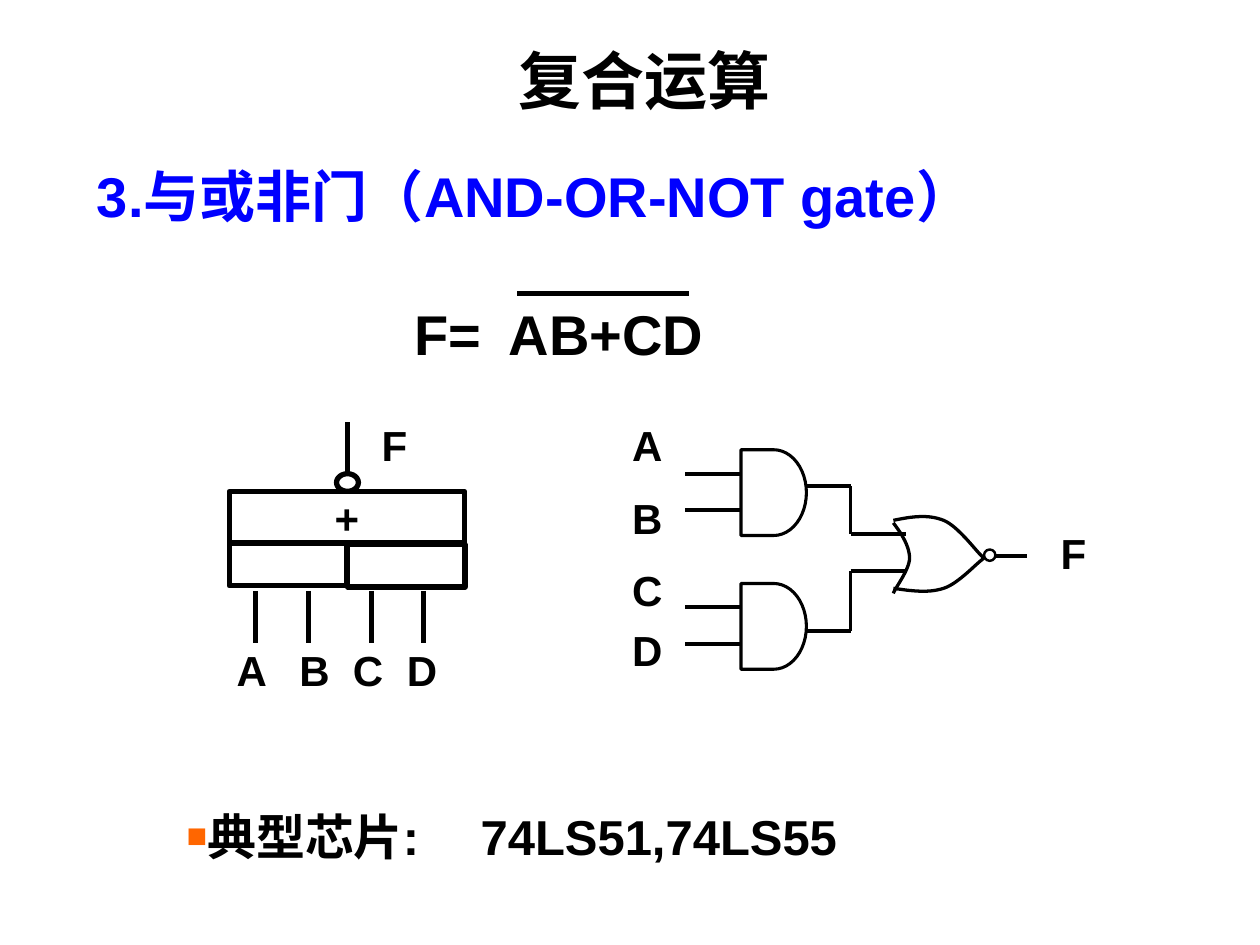
from lxml.etree import SubElement
from pptx import Presentation
from pptx.dml.color import RGBColor
from pptx.enum.shapes import MSO_CONNECTOR, MSO_SHAPE
from pptx.enum.text import MSO_ANCHOR, MSO_AUTO_SIZE, PP_ALIGN
from pptx.oxml.ns import qn
from pptx.util import Pt

BLACK = RGBColor(0, 0, 0)
BLUE = RGBColor(0, 0, 255)
ORANGE = RGBColor(255, 102, 0)

WIRE = 2.25
THICK = 3


def format_text(frame, text, size, color=BLACK, align=PP_ALIGN.LEFT):
    frame.text = text
    paragraph = frame.paragraphs[0]
    paragraph.alignment = align
    paragraph.space_before = Pt(0)
    font_values = {"name": "Arial", "size": Pt(size), "bold": True}
    for name, value in font_values.items():
        setattr(paragraph.runs[0].font, name, value)
    paragraph.runs[0].font.color.rgb = color
    return paragraph


def fill_placeholder(placeholder, box, text, size, **text_format):
    for name, value in zip(("left", "top", "width", "height"), box):
        setattr(placeholder, name, Pt(value))
    frame_values = {"auto_size": MSO_AUTO_SIZE.NONE, "word_wrap": True,
                    "vertical_anchor": MSO_ANCHOR.TOP}
    for name, value in frame_values.items():
        setattr(placeholder.text_frame, name, value)
    return format_text(placeholder.text_frame, text, size, **text_format)


def set_bullet(paragraph, character=None, color=None, percent=100, tab=None):
    """Remove the indent, then set a bullet and a tab stop, or no bullet."""
    properties = paragraph._p.get_or_add_pPr()
    properties.set("marL", "0")
    properties.set("indent", "0")
    if character is None:
        SubElement(properties, qn("a:buNone"))
        return
    bullet_color = SubElement(properties, qn("a:buClr"))
    SubElement(bullet_color, qn("a:srgbClr"), val=str(color))
    SubElement(properties, qn("a:buSzPct"), val=str(percent * 1000))
    SubElement(properties, qn("a:buFont"), typeface="Arial")
    SubElement(properties, qn("a:buChar"), char=character)
    tab_stops = SubElement(properties, qn("a:tabLst"))
    SubElement(tab_stops, qn("a:tab"), pos=str(Pt(tab)), algn="l")


def add_label(slide, left, top, text, size=24, width=50, height=36):
    box = slide.shapes.add_textbox(Pt(left), Pt(top), Pt(width), Pt(height))
    box.text_frame.word_wrap = True
    format_text(box.text_frame, text, size)


def add_outline(slide, kind, left, top, width, height, weight):
    shape = slide.shapes.add_shape(kind, Pt(left), Pt(top), Pt(width), Pt(height))
    style_outline(shape, weight)
    return shape


def style_outline(shape, weight):
    shape.shadow.inherit = False
    shape.fill.background()
    shape.line.color.rgb = BLACK
    shape.line.width = Pt(weight)


def add_wires(slide, weight, *points):
    """Join consecutive points with straight lines."""
    for start, end in zip(points, points[1:]):
        wire = slide.shapes.add_connector(
            MSO_CONNECTOR.STRAIGHT, *(Pt(value) for value in start + end))
        wire.line.color.rgb = BLACK
        wire.line.width = Pt(weight)
        SubElement(wire._element.spPr, qn("a:effectLst"))


def add_curve(slide, points, weight=1.88, steps=16):
    """Draw chained cubic curves: a start, then three points per curve."""
    vertices = []
    for first in range(0, len(points) - 1, 3):
        a, b, c, d = points[first:first + 4]
        for step in range(1, steps + 1):
            t = step / steps
            u = 1 - t
            vertices.append(tuple(
                Pt(u**3 * p + 3 * u * u * t * q + 3 * u * t * t * r + t**3 * s)
                for p, q, r, s in zip(a, b, c, d)))
    start_x, start_y = points[0]
    builder = slide.shapes.build_freeform(Pt(start_x), Pt(start_y))
    builder.add_line_segments(vertices, close=False)
    style_outline(builder.convert_to_shape(), weight)


def add_and_gate(slide, top, output_y, merge_y):
    """One AND gate with two inputs and its bent wire to the NOR gate."""
    add_outline(slide, MSO_SHAPE.FLOWCHART_DELAY, 423.4, top, 37.4, 49, 1.75)
    for offset in (13.7, 34.6):
        add_wires(slide, WIRE, (391.7, top + offset), (423.4, top + offset))
    add_wires(slide, WIRE, (460.8, output_y), (486, output_y),
              (486, merge_y), (517.7, merge_y))


def add_nor_gate(slide):
    tip = (562.3, 319)
    add_curve(slide, [(510.5, 297.4), (520.6, 295.2), (530.6, 293.8),
                      (539.3, 297.4), (547.9, 301), (558, 315.4), tip])
    add_curve(slide, [(510.5, 336.2), (520.6, 337.7), (530.6, 339.1),
                      (539.3, 336.2), (547.9, 333.4), (558, 321.8), tip])
    add_curve(slide, [(510.5, 298.8), (515.5, 305.3), (519.8, 312.5),
                      (519.8, 319), (519.8, 325.4), (511.9, 335.5), (510.5, 339.1)])
    add_outline(slide, MSO_SHAPE.OVAL, 562.3, 314, 6.5, 6.5, 1.38)
    add_wires(slide, WIRE, (568.1, 317.5), (586.8, 317.5))


def add_gate_circuit(slide):
    add_and_gate(slide, 257, 277.9, 305.3)
    add_and_gate(slide, 333.4, 360.7, 326.2)
    add_nor_gate(slide)
    for text, top in zip("ABCD", (236.2, 277.9, 319, 353.5)):
        add_label(slide, 354.2, top, text)
    add_label(slide, 599, 298, "F")


def add_block_symbol(slide):
    plus = add_outline(slide, MSO_SHAPE.RECTANGLE, 131, 280.8, 134.6, 29.5, THICK)
    format_text(plus.text_frame, "+", 24, align=PP_ALIGN.CENTER)
    plus.text_frame.word_wrap = False
    plus.text_frame.vertical_anchor = MSO_ANCHOR.MIDDLE
    for left, top in ((131, 310.3), (198.7, 311)):
        add_outline(slide, MSO_SHAPE.RECTANGLE, left, top, 67, 24.5, THICK)

    # Inverted output
    add_outline(slide, MSO_SHAPE.OVAL, 192.3, 270.7, 12.5, 10.1, THICK)
    add_wires(slide, THICK, (198.7, 270.7), (198.7, 241.2))
    add_label(slide, 211, 236.2, "F")

    # Input pins and their names
    pins = zip("ABCD", (146.2, 176.4, 212.4, 241.9), (128.2, 164, 194.5, 225.5))
    for text, pin_x, label_left in pins:
        add_wires(slide, THICK, (pin_x, 337.7), (pin_x, 367.2))
        add_label(slide, label_left, 365, text, width=36)


def add_formula(slide):
    add_label(slide, 229.7, 167.8, "F=", 32, 73, 45)
    add_label(slide, 283.7, 167.8, "AB+CD", 32, 127, 45)
    add_wires(slide, THICK, (295.5, 167.8), (393.5, 167.8))


def main():
    presentation = Presentation()
    presentation.slide_width = Pt(720)
    presentation.slide_height = Pt(540)
    slide = presentation.slides.add_slide(presentation.slide_layouts[3])
    title, heading, chips = list(slide.placeholders)[:3]

    # Title, heading and chip list
    fill_placeholder(title, (76.3, 20.2, 584, 51), "复合运算", 36,
                     align=PP_ALIGN.CENTER)
    paragraph = fill_placeholder(heading, (48.2, 88.6, 641, 46),
                                 "3.与或非门（AND-OR-NOT gate）", 32, color=BLUE)
    set_bullet(paragraph)
    paragraph = fill_placeholder(chips, (99.4, 457.2, 471, 41),
                                 "典型芯片:\t74LS51,74LS55", 28)
    set_bullet(paragraph, "■", ORANGE, 70, tab=168)

    # Formula and the two circuit symbols
    add_formula(slide)
    add_block_symbol(slide)
    add_gate_circuit(slide)

    presentation.save("out.pptx")


if __name__ == "__main__":
    main()
